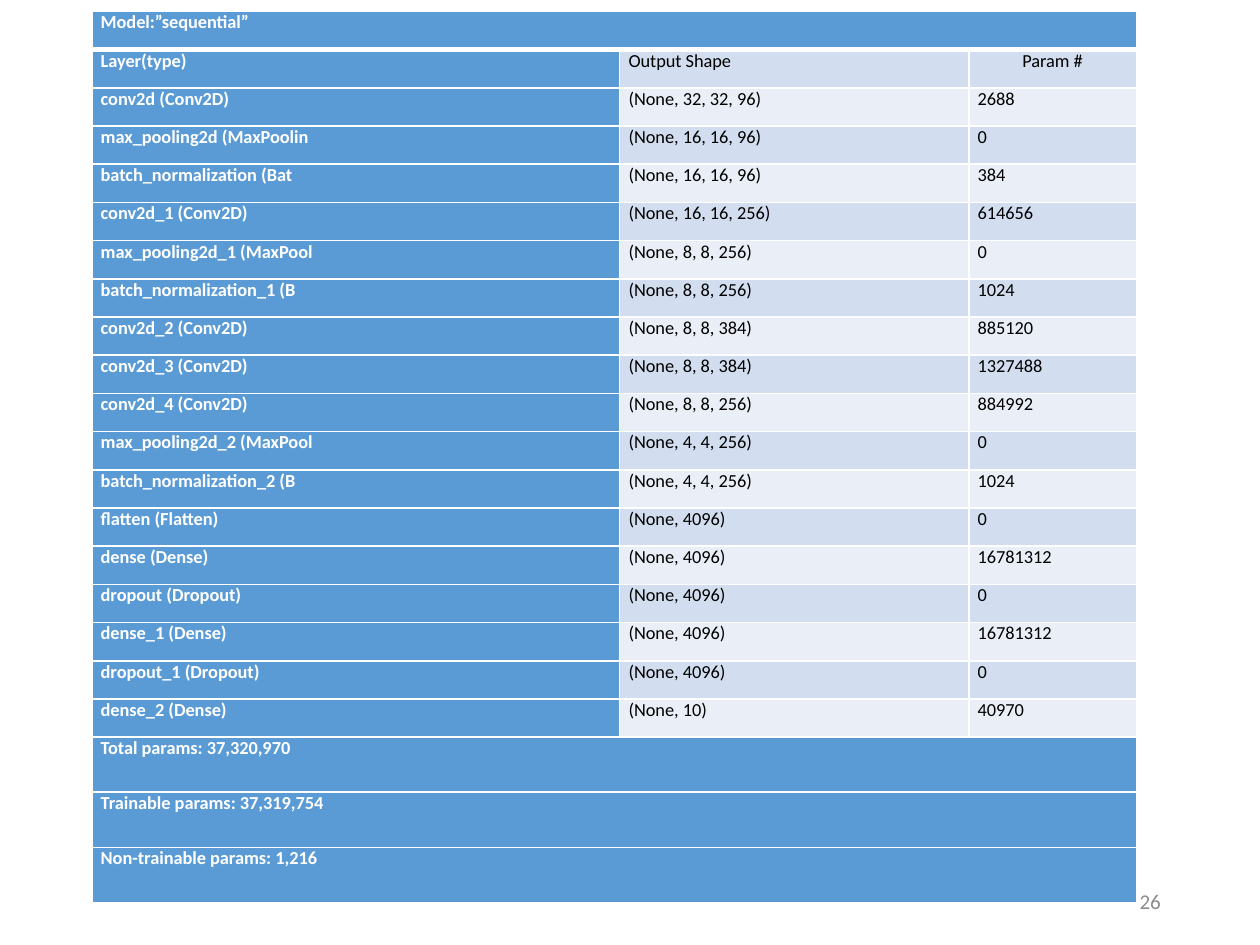
from lxml.etree import SubElement
from pptx import Presentation
from pptx.dml.color import RGBColor
from pptx.enum.text import MSO_ANCHOR, PP_ALIGN as Align
from pptx.oxml.ns import qn
from pptx.util import Cm, Pt

BLUE = RGBColor(0x5B, 0x9B, 0xD5)
BAND = RGBColor(0xD2, 0xDE, 0xEF)
PALE = RGBColor(0xEA, 0xEF, 0xF7)
WHITE = RGBColor(0xFF, 0xFF, 0xFF)
BLACK = RGBColor(0, 0, 0)
GREY = RGBColor(0x8C, 0x8C, 0x8C)

HEAD = "Model:”sequential”"
LAYERS = [
    ("Layer(type)", "Output Shape", "Param #"),
    ("conv2d (Conv2D)", "(None, 32, 32, 96)", "2688"),
    ("max_pooling2d (MaxPoolin", "(None, 16, 16, 96)", "0"),
    ("batch_normalization (Bat", "(None, 16, 16, 96)", "384"),
    ("conv2d_1 (Conv2D)", "(None, 16, 16, 256)", "614656"),
    ("max_pooling2d_1 (MaxPool", "(None, 8, 8, 256)", "0"),
    ("batch_normalization_1 (B", "(None, 8, 8, 256)", "1024"),
    ("conv2d_2 (Conv2D)", "(None, 8, 8, 384)", "885120"),
    ("conv2d_3 (Conv2D)", "(None, 8, 8, 384)", "1327488"),
    ("conv2d_4 (Conv2D)", "(None, 8, 8, 256)", "884992"),
    ("max_pooling2d_2 (MaxPool", "(None, 4, 4, 256)", "0"),
    ("batch_normalization_2 (B", "(None, 4, 4, 256)", "1024"),
    ("flatten (Flatten)", "(None, 4096)", "0"),
    ("dense (Dense)", "(None, 4096)", "16781312"),
    ("dropout (Dropout)", "(None, 4096)", "0"),
    ("dense_1 (Dense)", "(None, 4096)", "16781312"),
    ("dropout_1 (Dropout)", "(None, 4096)", "0"),
    ("dense_2 (Dense)", "(None, 10)", "40970"),
]
TOTALS = [
    "Total params: 37,320,970",
    "Trainable params: 37,319,754",
    "Non-trainable params: 1,216",
]


def write(frame, text, size=10.5, color=BLACK, bold=False, align=Align.JUSTIFY):
    para = frame.paragraphs[0]
    para.alignment = align
    run = para.add_run()
    run.text = text
    font = run.font
    font.name, font.size, font.bold = "Calibri", Pt(size), bold
    font.color.rgb = color


def edge(cell, low=1):
    """Draw white cell borders; low is the bottom width in points."""
    props = cell._tc.get_or_add_tcPr()
    for side, width in zip("LRTB", (1, 1, 1, low)):
        line = SubElement(props, qn(f"a:ln{side}"), w=str(Pt(width)))
        fill = SubElement(line, qn("a:solidFill"))
        SubElement(fill, qn("a:srgbClr"), val=str(WHITE))


prs = Presentation()
prs.slide_width, prs.slide_height = Cm(25.4), Cm(19.05)
slide = prs.slides.add_slide(prs.slide_layouts[6])

page = slide.shapes.add_textbox(Cm(17.93), Cm(17.65), Cm(5.72), Cm(1.02))
page.text_frame.word_wrap = True
page.text_frame.vertical_anchor = MSO_ANCHOR.MIDDLE
write(page.text_frame, "26", size=12, color=GREY, align=Align.RIGHT)

rows = [(HEAD,), *LAYERS, *((total,) for total in TOTALS)]
widths = [10.64, 7.04, 3.38]
tall = [0.77] * (1 + len(LAYERS)) + [1.11] * len(TOTALS)
table = slide.shapes.add_table(len(rows), len(widths), Cm(1.85), Cm(0.23),
                               Cm(sum(widths)), Cm(sum(tall))).table
table.horz_banding = False
for col, width in zip(table.columns, widths):
    col.width = Cm(width)

for r, (row, height) in enumerate(zip(rows, tall)):
    table.rows[r].height = Cm(height)
    if len(row) == 1:
        table.cell(r, 0).merge(table.cell(r, 2))
    for c in range(len(widths)):
        cell = table.cell(r, c)
        edge(cell, low=3 if r == 0 else 1)
        cell.margin_left = cell.margin_right = Cm(0.18)
        cell.margin_top = cell.margin_bottom = 0
        main = c == 0 or len(row) == 1
        cell.fill.solid()
        cell.fill.fore_color.rgb = BLUE if main else BAND if r % 2 else PALE
        if c < len(row):
            write(cell.text_frame, row[c], color=WHITE if main else BLACK, bold=main,
                  align=Align.CENTER if row[c] == "Param #" else Align.JUSTIFY)

prs.save("out.pptx")
